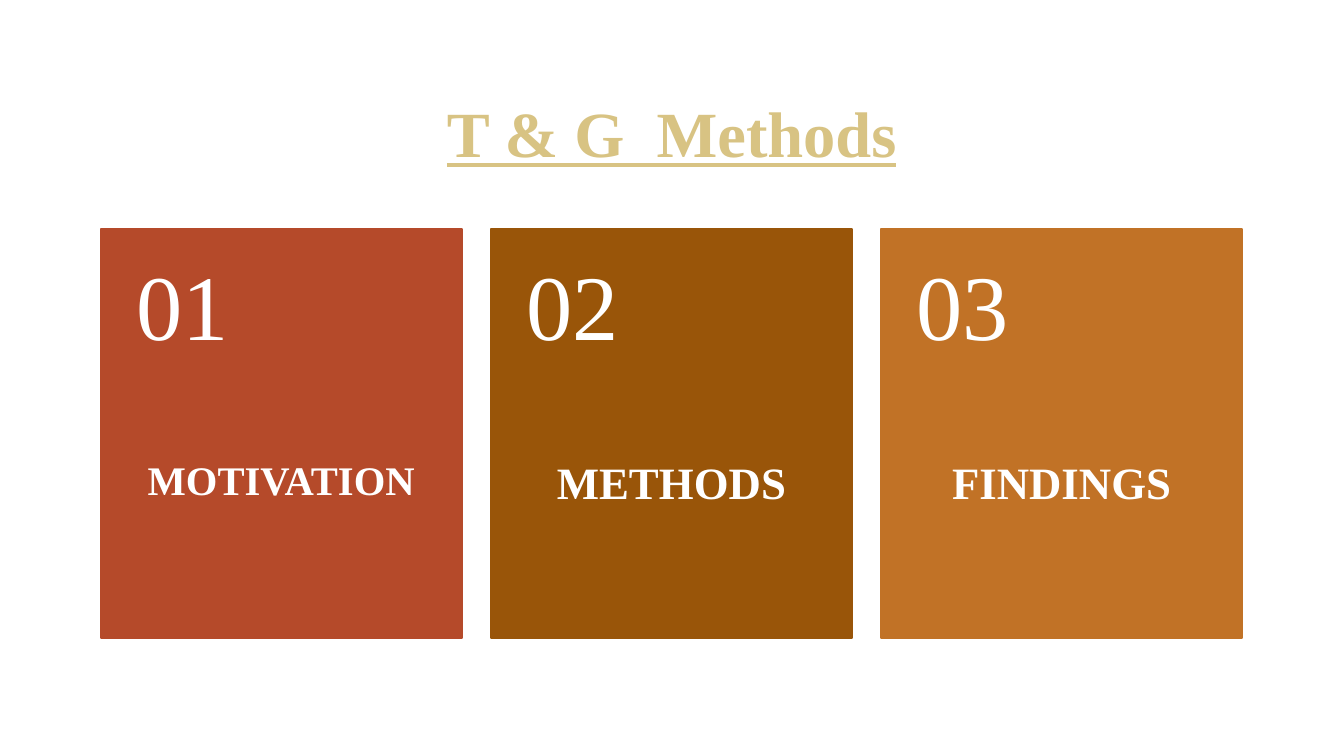
from lxml import etree
from pptx import Presentation
from pptx.dml.color import RGBColor
from pptx.enum import shapes, text
from pptx.util import Inches, Pt

FONT = "Times New Roman"
WHITE = RGBColor(0xFF, 0xFF, 0xFF)
SAND = RGBColor(0xD8, 0xC3, 0x83)
RED = RGBColor(0xB5, 0x4A, 0x2A)
BROWN = RGBColor(0x99, 0x55, 0x09)
AMBER = RGBColor(0xC1, 0x72, 0x26)

LEFT, TOP, WIDTH, HEIGHT = 1, 2.27, 3.58, 4.06
STEP = 3.87
CARDS = [
    ("01", "MOTIVATION", 29, RED),
    ("02", "METHODS", 32, BROWN),
    ("03", "FINDINGS", 32, AMBER),
]
SHADOW = (
    '<a:effectLst xmlns:a="http://schemas.openxmlformats.org/drawingml/2006/main">'
    '<a:outerShdw blurRad="38100" dist="38100" dir="2700000" algn="tl">'
    '<a:srgbClr val="000000"><a:alpha val="43000"/></a:srgbClr>'
    '</a:outerShdw></a:effectLst>'
)


def add_text(home, words, area, size, color, pads, anchor, align, bold=False):
    """Add one line of text; pads are the side and the top/bottom insets."""
    box = home.add_textbox(*map(Inches, area))
    frame = box.text_frame
    frame.word_wrap = True
    frame.vertical_anchor = anchor
    frame.margin_left = frame.margin_right = Inches(pads[0])
    frame.margin_top = frame.margin_bottom = Inches(pads[1])
    para = frame.paragraphs[0]
    para.alignment = align
    para.line_spacing = 0.9
    run = para.add_run()
    run.text = words
    run.font.size = Pt(size)
    run.font.bold = bold
    run.font.color.rgb = color
    run.font.name = FONT
    return run


def add_title(home):
    run = add_text(home, "T & G  Methods", (1, 0.67, 11.32, 1.38), 46, SAND,
                   (0.1, 0.05), text.MSO_ANCHOR.MIDDLE,
                   text.PP_ALIGN.CENTER, True)
    run.font.underline = True
    fill = run.font._element.find("{*}solidFill")
    fill.addnext(etree.fromstring(SHADOW))


def add_card(home, left, number, label, size, color):
    card = home.add_shape(shapes.MSO_SHAPE.RECTANGLE, Inches(left),
                          Inches(TOP), Inches(WIDTH), Inches(HEIGHT))
    card.shadow.inherit = False
    card.fill.solid()
    card.fill.fore_color.rgb = color
    card.line.color.rgb = color
    card.line.width = Pt(1.25)
    add_text(home, label, (left, 4.57, WIDTH, 1.76), size, WHITE, (0.35, 0),
             text.MSO_ANCHOR.TOP, text.PP_ALIGN.CENTER, True)
    add_text(home, number, (left, TOP, WIDTH, 1.62), 66, WHITE, (0.35, 0.18),
             text.MSO_ANCHOR.MIDDLE, text.PP_ALIGN.LEFT)


def main():
    deck = Presentation()
    deck.slide_width = Inches(13.33)
    deck.slide_height = Inches(7.5)
    slide = deck.slides.add_slide(deck.slide_layouts[6])
    add_title(slide.shapes)
    group = slide.shapes.add_group_shape()
    for i, card in enumerate(CARDS):
        add_card(group.shapes, LEFT + i * STEP, *card)
    deck.save("out.pptx")


if __name__ == "__main__":
    main()
